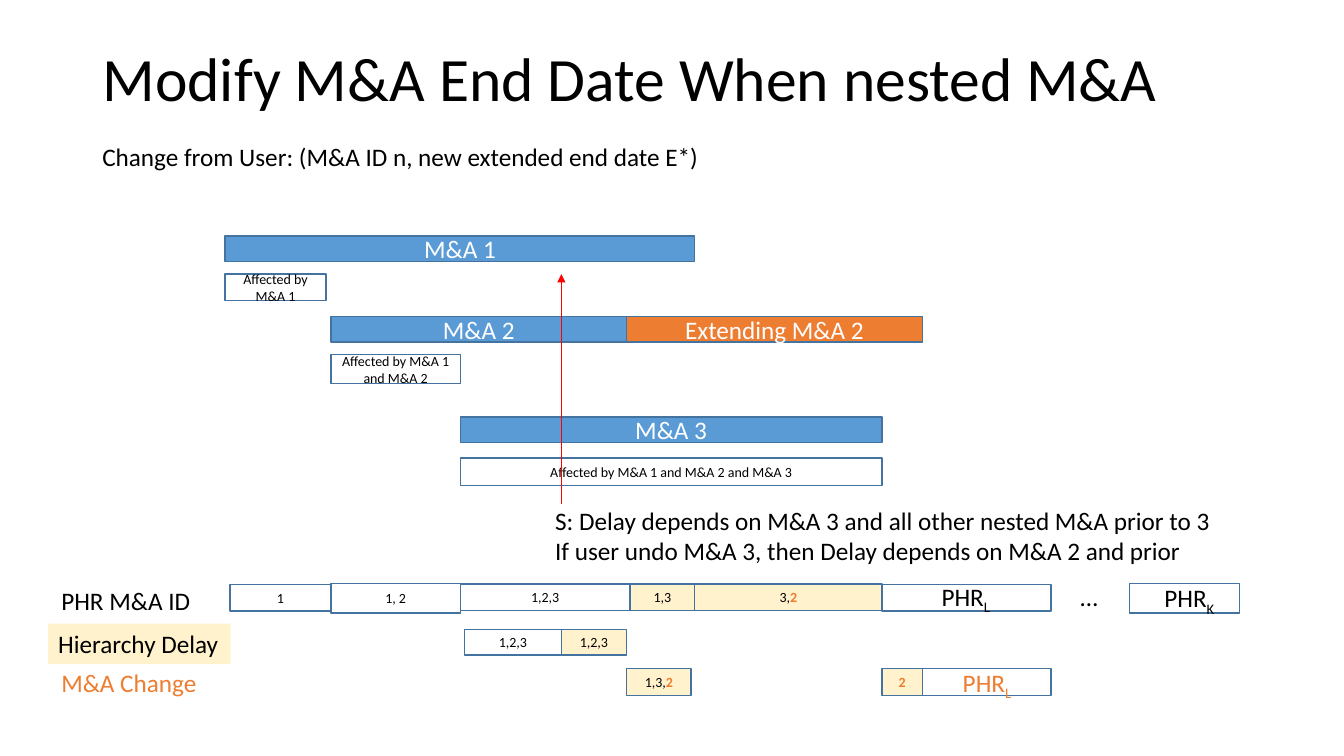
from dataclasses import dataclass

from lxml.etree import SubElement
from pptx import Presentation
from pptx.dml.color import RGBColor
from pptx.enum.shapes import MSO_CONNECTOR as Connector, MSO_SHAPE as Shape
from pptx.enum.text import MSO_ANCHOR as Anchor, MSO_AUTO_SIZE as AutoSize, PP_ALIGN as Align
from pptx.oxml.ns import qn
from pptx.util import Pt


@dataclass(frozen=True)
class Theme:
    font: str = "Calibri"
    ink: str = "000000"
    paper: str = "FFFFFF"
    bar: str = "5B9BD5"
    extension: str = "ED7D31"
    delay: str = "FFF2CC"
    outline: str = "43739E"
    pointer: str = "FF0000"
    title_size: float = 44
    text_size: float = 18
    small_size: float = 10


class TimelineSlide:
    def __init__(self, deck, theme):
        self.theme = theme
        self.page = deck.slides.add_slide(deck.slide_layouts[5])

    def fill_text(self, box, paragraphs, size, color, frame_format, para_format):
        frame = box.text_frame
        for name, value in frame_format.items():
            setattr(frame, name, value)
        for index, spans in enumerate(paragraphs):
            para = frame.add_paragraph() if index else frame.paragraphs[0]
            for name, value in para_format.items():
                setattr(para, name, value)
            for text, changes in spans:
                span = para.add_run()
                span.text = text
                style = {"name": self.theme.font, "size": Pt(size), "bold": changes.get("bold", False)}
                for name, value in style.items():
                    setattr(span.font, name, value)
                span.font.color.rgb = RGBColor.from_string(changes.get("color", color))
                if "baseline" in changes:
                    span._r.get_or_add_rPr().set("baseline", str(changes["baseline"]))

    def title(self, text, left, top, width, height):
        box = self.page.shapes.title
        place = {"left": left, "top": top, "width": width, "height": height}
        for name, value in place.items():
            setattr(box, name, Pt(value))
        frame_format = {"word_wrap": True, "auto_size": AutoSize.NONE, "vertical_anchor": Anchor.MIDDLE}
        para_format = {"alignment": Align.LEFT, "line_spacing": 0.9}
        self.fill_text(box, [[(text, {})]], self.theme.title_size, self.theme.ink, frame_format, para_format)

    def bar(self, spans, left, top, width, height, fill=None, size=None, color=None):
        box = self.page.shapes.add_shape(Shape.RECTANGLE, *map(Pt, (left, top, width, height)))
        box.shadow.inherit = False
        if fill:
            box.fill.solid()
            box.fill.fore_color.rgb = RGBColor.from_string(fill)
        else:
            box.fill.background()
        box.line.color.rgb = RGBColor.from_string(self.theme.outline)
        box.line.width = Pt(1)
        if spans:
            frame_format = {"word_wrap": True, "vertical_anchor": Anchor.MIDDLE}
            self.fill_text(box, [spans], size or self.theme.small_size, color or self.theme.ink,
                           frame_format, {"alignment": Align.CENTER})

    def label(self, paragraphs, left, top, width, height=29, color=None, fill=None):
        box = self.page.shapes.add_textbox(*map(Pt, (left, top, width, height)))
        if fill:
            box.fill.solid()
            box.fill.fore_color.rgb = RGBColor.from_string(fill)
        frame_format = {"word_wrap": False, "auto_size": AutoSize.SHAPE_TO_FIT_TEXT}
        self.fill_text(box, paragraphs, self.theme.text_size, color or self.theme.ink,
                       frame_format, {"alignment": Align.LEFT})

    def arrow(self, x, bottom, top):
        line = self.page.shapes.add_connector(Connector.STRAIGHT, *map(Pt, (x, bottom, x, top)))
        line.line.color.rgb = RGBColor.from_string(self.theme.pointer)
        line.line.width = Pt(0.5)
        properties = line._element.spPr
        SubElement(properties.find(qn("a:ln")), qn("a:tailEnd"), type="triangle")
        SubElement(properties, qn("a:effectLst"))


def main():
    theme = Theme()
    deck = Presentation()
    deck.slide_width, deck.slide_height = Pt(960), Pt(540)
    slide = TimelineSlide(deck, theme)

    first, second, third = 160.8, 236.4, 328.8
    delay_start, second_end = 401, 447.6
    first_end, third_end, extended_end = 496.3, 630, 658.8
    horizon = 750.6

    slide.title("Modify M&A End Date When nested M&A", 66, 28.8, 826, 59)
    slide.label([[("Change from User: (M&A ID n, new extended end date E*)", {})]], 66, 97.4, 446)

    for text, left, right, top, fill in (
        ("M&A 1", first, first_end, 168.5, theme.bar),
        ("M&A 2", second, second_end, 226.2, theme.bar),
        ("M&A 3", third, third_end, 298, theme.bar),
        ("Extending M&A 2", second_end, extended_end, 226.2, theme.extension),
    ):
        slide.bar([(text, {})], left, top, right - left, 18.2, fill, theme.text_size, theme.paper)

    for text, left, right, top, height in (
        ("Affected by M&A 1", first, 232.8, 195.7, 19),
        ("Affected by M&A 1 and M&A 2", second, third, 253.4, 20.8),
        ("Affected by M&A 1 and M&A 2 and M&A 3", third, third_end, 327, 19.8),
    ):
        slide.bar([(text, {})], left, top, right - left, height)

    slide.label([
        [("S: Delay depends on M&A 3 and all other nested M&A prior to 3", {})],
        [("If user undo M&A 3, then Delay depends on M&A 2 and prior", {})],
    ], 389.5, 357.1, 488, 51)
    slide.arrow(delay_start, 360, 195.8)

    changed = ("2", {"color": theme.extension, "bold": True})
    id_top, delay_top, change_top = 417, 449.6, 477.4
    for spans, left, right, top, height, fill in (
        ([("1", {})], 164.4, second, id_top + 0.6, 19, None),
        ([("1, 2", {})], second, third, id_top, 20.8, None),
        ([("1,2,3", {})], third, 450, id_top, 19.2, None),
        ([("1,3", {})], 450, first_end, id_top, 19.2, theme.delay),
        ([("3,", {}), changed], first_end, third_end, id_top, 19.2, theme.delay),
        ([], third_end, horizon, id_top + 0.6, 19, None),
        ([], 807, 885.6, id_top, 20.8, None),
        ([("1,2,3", {})], 331.8, delay_start, delay_top, 18.4, None),
        ([("1,2,3", {})], delay_start, second_end, delay_top, 18.4, theme.delay),
        ([("1,3,", {}), changed], second_end, 493.6, change_top, 19.4, theme.delay),
        ([changed], third_end, extended_end, change_top, 19.4, theme.delay),
        ([], extended_end, horizon, change_top, 19.4, None),
    ):
        slide.bar(spans, left, top, right - left, height, fill)

    for text, subscript, left, top, width, color, fill in (
        ("PHR M&A ID", "", 36.7, 414.3, 107.3, theme.ink, None),
        ("Hierarchy Delay", "", 34.4, 445.5, 130.3, theme.ink, theme.delay),
        ("M&A Change", "", 36.7, 473, 112.3, theme.extension, None),
        ("PHR", "L", 665.5, 411.8, 50.4, theme.ink, None),
        ("…", "", 764.6, 411.8, 27.4, theme.ink, None),
        ("PHR", "K", 824.6, 412.6, 51, theme.ink, None),
        ("PHR", "L", 680.6, 473, 51.8, theme.extension, None),
    ):
        spans = [(text, {})]
        if subscript:
            spans.append((subscript, {"baseline": -25000}))
        slide.label([spans], left, top, width, color=color, fill=fill)

    deck.save("out.pptx")


if __name__ == "__main__":
    main()
